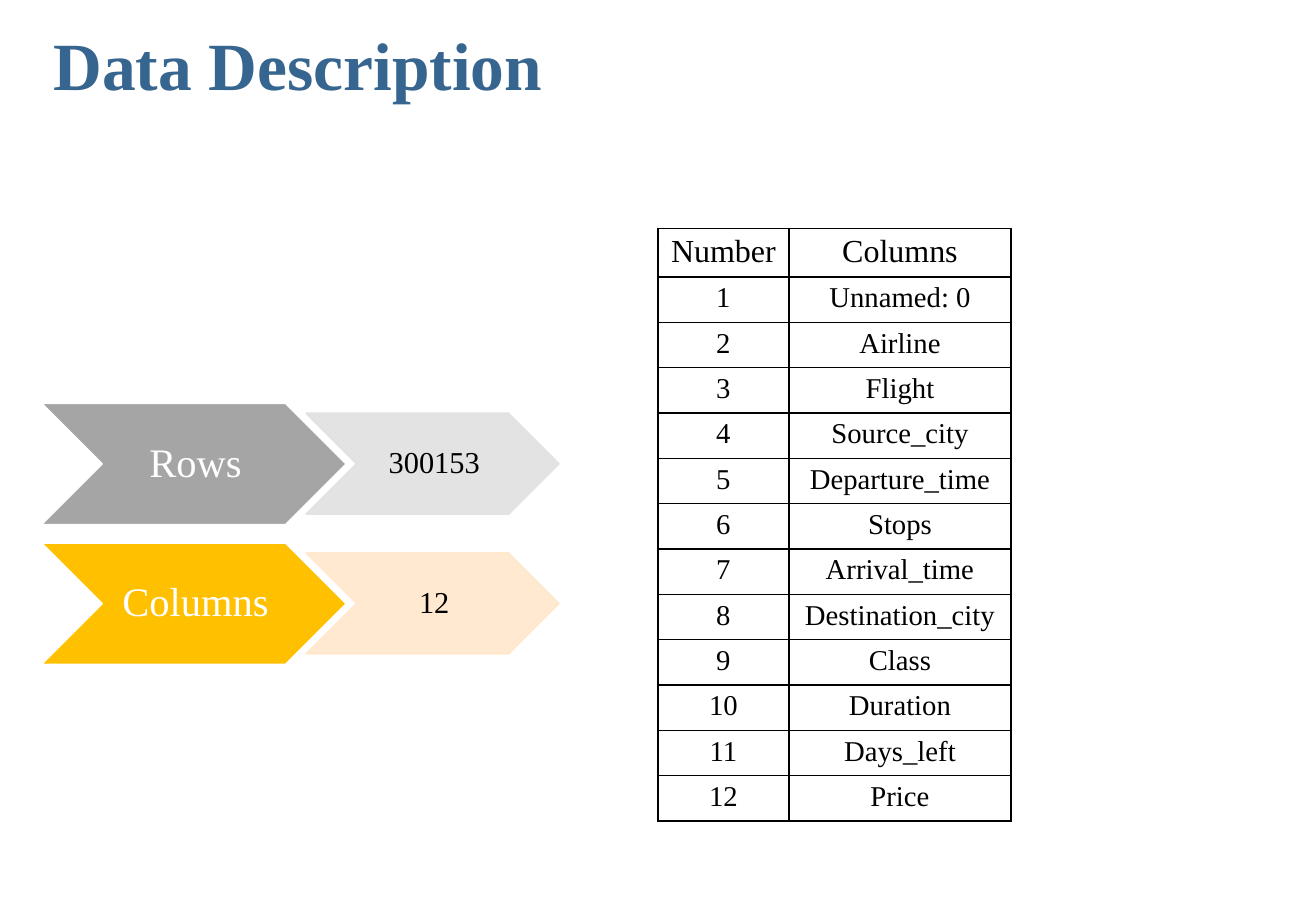
"""Build the data description slide with size chevrons and a column table."""
from lxml import etree
from pptx import Presentation
from pptx.dml.color import RGBColor
from pptx.enum.shapes import MSO_SHAPE
from pptx.enum.text import MSO_ANCHOR, PP_ALIGN
from pptx.oxml.ns import qn
from pptx.util import Pt

PX = 3048
FONT = "Times New Roman"
CHEVRON = MSO_SHAPE.CHEVRON
MIDDLE = MSO_ANCHOR.MIDDLE
TOP = MSO_ANCHOR.TOP
LEFT = PP_ALIGN.LEFT
CENTER = PP_ALIGN.CENTER
COLORS = {
    "title": "366590", "white": "FFFFFF", "black": "000000",
    "gray": "A5A5A5", "pale gray": "E1E1E1",
    "gold": "FFC000", "pale gold": "FFE7CB",
}
SIZES = [("Rows", "300153", "gray"), ("Columns", "12", "gold")]
FIELDS = [
    "Unnamed: 0", "Airline", "Flight", "Source_city", "Departure_time",
    "Stops", "Arrival_time", "Destination_city", "Class", "Duration",
    "Days_left", "Price",
]


def px(*nums):
    return [num * PX for num in nums]


def rgb(name):
    return RGBColor.from_string(COLORS[name])


def write(frame, text, size, color, align=CENTER, bold=False):
    frame.text = text
    para = frame.paragraphs[0]
    para.alignment = align
    font = para.runs[0].font
    font.name, font.size, font.bold = FONT, Pt(size), bold
    font.color.rgb = rgb(color)
    return para


def add_title(slide, text):
    title = slide.shapes.title
    title.left, title.top, title.width, title.height = px(102, 42, 1395, 231)
    frame = title.text_frame
    para = write(frame, text, 40, "title", LEFT, True)
    para.line_spacing = 1.0
    frame.vertical_anchor = TOP
    frame.word_wrap = False


def add_arrow(slide, box, text, size, fill, color, alpha=100):
    shape = slide.shapes.add_shape(CHEVRON, *px(*box))
    shape.shadow.inherit = False
    shape.fill.solid()
    shape.fill.fore_color.rgb = rgb(fill)
    shape.line.width = Pt(1)
    shape.line.color.rgb = rgb("white" if alpha == 100 else fill)
    if alpha < 100:
        for tone in shape._element.spPr.iter(qn("a:srgbClr")):
            etree.SubElement(tone, qn("a:alpha"), val=str(alpha * 1000))
    frame = shape.text_frame
    frame.margin_left, frame.margin_right = px(8, 0)
    frame.margin_top, frame.margin_bottom = px(5, 5)
    frame.vertical_anchor = MIDDLE
    frame.word_wrap = True
    write(frame, text, size, color).line_spacing = 0.9


def add_edges(cell):
    props = cell._tc.get_or_add_tcPr()
    for spot, side in enumerate(("a:lnL", "a:lnR", "a:lnT", "a:lnB")):
        edge = etree.Element(qn(side), w=str(Pt(1)))
        fill = etree.SubElement(edge, qn("a:solidFill"))
        etree.SubElement(fill, qn("a:srgbClr"), val=COLORS["black"])
        props.insert(spot, edge)


def add_grid(slide, rows):
    box = px(1624, 564, 872, 1464)
    table = slide.shapes.add_table(len(rows), 2, *box).table
    table.first_row = table.horz_banding = False
    for col, width in zip(table.columns, px(324, 548)):
        col.width = width
    for row, texts in enumerate(rows):
        table.rows[row].height = PX * (112 if row else 120)
        for col, text in enumerate(texts):
            cell = table.cell(row, col)
            cell.fill.background()
            cell.margin_left, cell.margin_right = px(27, 27)
            cell.margin_top, cell.margin_bottom = px(13, 13)
            write(cell.text_frame, text, 17 if row else 19, "black")
            add_edges(cell)


def main():
    deck = Presentation()
    deck.slide_width, deck.slide_height = px(3249, 2250)
    slide = deck.slides.add_slide(deck.slide_layouts[5])
    add_title(slide, "Data Description")
    for step, (label, count, color) in enumerate(SIZES):
        top = 996 + 345 * step
        add_arrow(slide, (102, top, 753, 300), label, 24, color, "white")
        add_arrow(slide, (756, top + 25, 624, 249), count, 18,
                  "pale " + color, "black", 90)
    rows = [("Number", "Columns")]
    rows += [(str(num), name) for num, name in enumerate(FIELDS, 1)]
    add_grid(slide, rows)
    deck.save("out.pptx")


if __name__ == "__main__":
    main()
